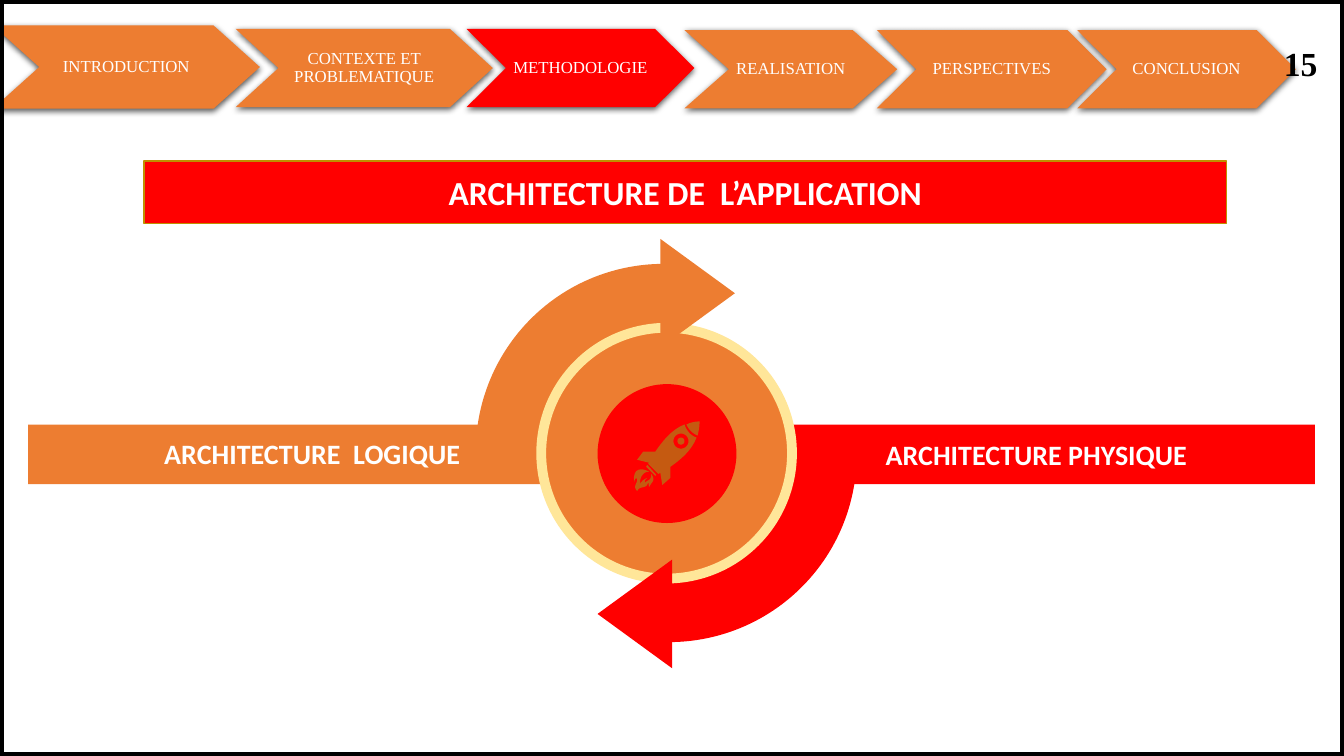
"""Build the application architecture slide with its chapter ribbon."""
import math

import lxml.etree
import pptx
import pptx.dml.color
import pptx.enum.shapes
import pptx.enum.text
import pptx.oxml.ns
import pptx.util

Cm = pptx.util.Cm
Pt = pptx.util.Pt
RGBColor = pptx.dml.color.RGBColor
SHAPE = pptx.enum.shapes.MSO_SHAPE
ALIGN = pptx.enum.text.PP_ALIGN
MIDDLE = pptx.enum.text.MSO_ANCHOR.MIDDLE
qn = pptx.oxml.ns.qn

ORANGE = RGBColor(0xED, 0x7D, 0x31)
RED = RGBColor(0xFF, 0x00, 0x00)
CREAM = RGBColor(0xFF, 0xE6, 0x99)
GOLD = RGBColor(0xBF, 0x90, 0x00)
BROWN = RGBColor(0xC5, 0x5A, 0x11)
WHITE = RGBColor(0xFF, 0xFF, 0xFF)
BLACK = RGBColor(0x00, 0x00, 0x00)

SLIDE_SIZE = Cm(33.87), Cm(19.05)
CHAPTERS = [
    ("INTRODUCTION", (-0.18, 0.64, 6.73, 2.1), 1.17, ORANGE),
    ("CONTEXTE ET PROBLEMATIQUE", (5.94, 0.73, 6.48, 1.97), 1.08, ORANGE),
    ("METHODOLOGIE", (11.76, 0.73, 5.74, 1.97), 0.99, RED),
    ("REALISATION", (17.25, 0.76, 5.36, 1.97), 1.12, ORANGE),
    ("PERSPECTIVES", (22.1, 0.76, 5.79, 1.97), 0.99, ORANGE),
    ("CONCLUSION", (27.15, 0.76, 5.51, 1.97), 0.99, ORANGE),
]

ROCKET_ORIGIN = Cm(15.93), Cm(10.62)
ROCKET_UNIT = Cm(2.54) / 100
ROCKET_FLAME = [
    (17, 50), (13, 49, 7, 54, 8, 62), (10, 58, 13, 57, 15, 56),
    (14, 57, 12, 58, 13, 61), (15, 57, 19, 60, 19, 52),
    (24, 59, 19, 60, 17, 65), (16, 64, 17, 60, 16, 61),
    (13, 68, 8, 63, 5, 69), (0, 64, 6, 61, 5, 57),
    (4, 56, 3, 56, 2, 60), (0, 45, 11, 46, 17, 50),
]
ROCKET_NOZZLE = [(15, 43), (24, 53), (23, 54), (14, 45)]
ROCKET_BODY = [
    (52, 3), (54, 9, 58, 14, 64, 16), (59, 29, 48, 38, 38, 45),
    (38, 56), (30, 63), (28, 51), (26, 52), (16, 42), (17, 41),
    (5, 38), (11, 30), (23, 30), (30, 20, 39, 8, 52, 3),
]
ROCKET_NOSE = [
    (67, 0), (67, 5, 66, 10, 65, 14), (60, 12, 56, 8, 54, 3),
    (58, 1, 62, 0, 67, 0),
]
WINDOW_CENTRE = 48.5, 19.5


def set_text(shape, text, size, font="Calibri", color=WHITE, bold=True,
             alignment=ALIGN.CENTER):
    """Write one formatted paragraph into a shape."""
    frame = shape.text_frame
    frame.text = text
    frame.word_wrap = True
    frame.vertical_anchor = MIDDLE
    paragraph = frame.paragraphs[0]
    paragraph.alignment = alignment
    run_font = paragraph.runs[0].font
    run_font.name = font
    run_font.size = Pt(size)
    run_font.bold = bold
    run_font.color.rgb = color
    return paragraph


def style(shape, fill=None, line=None, line_width=1):
    """Set the fill and outline of a shape and remove its shadow."""
    shape.shadow.inherit = False
    if fill is None:
        shape.fill.background()
    else:
        shape.fill.solid()
        shape.fill.fore_color.rgb = fill
    if line is None:
        shape.line.fill.background()
    else:
        shape.line.color.rgb = line
        shape.line.width = Pt(line_width)


def add_block(slide, kind, box, fill=None, rotation=0, **outline):
    """Add a preset shape at a box given in centimetres."""
    shape = slide.shapes.add_shape(kind, *map(Cm, box))
    shape.rotation = rotation
    style(shape, fill, **outline)
    return shape


def add_label(slide, box, text, size, **formatting):
    """Add a text box at a box given in centimetres."""
    set_text(slide.shapes.add_textbox(*map(Cm, box)), text, size, **formatting)


def add_soft_shadow(shape):
    """Give a shape a blurred shadow falling straight down."""
    effects = shape._element.spPr.find(qn("a:effectLst"))
    shadow = lxml.etree.SubElement(
        effects, qn("a:outerShdw"), blurRad=str(Pt(4.5)), dist=str(Pt(1.5)),
        dir="5400000", algn="ctr", rotWithShape="0")
    color = lxml.etree.SubElement(shadow, qn("a:srgbClr"), val="000000")
    lxml.etree.SubElement(color, qn("a:alpha"), val="63000")


def add_chapter(slide, title, box, point, fill):
    """Add one chevron of the chapter ribbon."""
    chevron = add_block(slide, SHAPE.CHEVRON, box, fill)
    chevron.adjustments[0] = point / box[3]
    add_soft_shadow(chevron)
    frame = chevron.text_frame
    frame.margin_left = frame.margin_right = Cm(0.04)
    frame.margin_top = frame.margin_bottom = Cm(0.04)
    paragraph = set_text(chevron, title, 12, "Times New Roman", bold=False)
    paragraph.line_spacing = 0.9


def add_quarter(slide, box, fill, rotation=0):
    """Add a quarter disc running from the left side to the top."""
    quarter = add_block(slide, SHAPE.PIE, box, fill, rotation)
    quarter.adjustments[0] = 180 * 0.6
    quarter.adjustments[1] = 270 * 0.6


def flatten(contour, steps=8):
    """Turn a contour of corners and cubic curves into points."""
    points = [contour[0]]
    for segment in contour[1:]:
        if len(segment) == 2:
            points.append(segment)
            continue
        controls = [points[-1], segment[:2], segment[2:4], segment[4:]]
        for step in range(1, steps + 1):
            t = step / steps
            weights = [math.comb(3, i) * t**i * (1 - t)**(3 - i) for i in range(4)]
            points.append(tuple(
                sum(w * control[axis] for w, control in zip(weights, controls))
                for axis in (0, 1)))
    return points


def circle_points(centre, radius, count=24):
    """Return evenly spaced points on a circle."""
    angles = [2 * math.pi * i / count for i in range(count)]
    return [(centre[0] + radius * math.cos(a), centre[1] + radius * math.sin(a))
            for a in angles]


def add_rocket(slide):
    """Draw the rocket icon as one outline with a round window."""
    contours = [flatten(c) for c in
                (ROCKET_BODY, ROCKET_FLAME, ROCKET_NOZZLE, ROCKET_NOSE)]
    contours += [circle_points(WINDOW_CENTRE, radius) for radius in (7.5, 3.5)]
    scaled = [[(x * ROCKET_UNIT, y * ROCKET_UNIT) for x, y in c] for c in contours]
    builder = slide.shapes.build_freeform(*scaled[0][0])
    for index, points in enumerate(scaled):
        if index:
            builder.move_to(*points[0])
        builder.add_line_segments(points[1:], close=True)
    style(builder.convert_to_shape(*ROCKET_ORIGIN), BROWN)


def main():
    """Create the presentation and save it."""
    presentation = pptx.Presentation()
    presentation.slide_width, presentation.slide_height = SLIDE_SIZE
    slide = presentation.slides.add_slide(presentation.slide_layouts[6])

    for chapter in CHAPTERS:
        add_chapter(slide, *chapter)
    add_block(slide, SHAPE.RECTANGLE, (0, 0, 33.87, 19.05), line=BLACK, line_width=6)

    add_block(slide, SHAPE.RECTANGLE, (0.71, 10.7, 12.93, 1.5), ORANGE)
    add_block(slide, SHAPE.RECTANGLE, (19.96, 10.7, 13.18, 1.5), RED)
    add_quarter(slide, (11.99, 6.65, 9.47, 9.47), ORANGE)
    add_quarter(slide, (12.12, 6.71, 9.47, 9.47), RED, 180)
    add_block(slide, SHAPE.OVAL, (13.64, 8.26, 6.32, 6.32), ORANGE,
              line=CREAM, line_width=7)
    add_block(slide, SHAPE.ISOSCELES_TRIANGLE, (16.21, 6.45, 2.74, 1.88), ORANGE, 90)
    add_block(slide, SHAPE.ISOSCELES_TRIANGLE, (14.63, 14.53, 2.74, 1.88), RED, 270)
    add_block(slide, SHAPE.OVAL, (15.06, 9.68, 3.5, 3.5), RED)
    add_label(slide, (22.07, 10.9, 9.47, 1.12), "ARCHITECTURE PHYSIQUE", 20,
              alignment=ALIGN.LEFT)
    add_label(slide, (1.47, 10.87, 10.38, 1.12), "ARCHITECTURE  LOGIQUE", 20,
              alignment=ALIGN.RIGHT)
    add_rocket(slide)

    banner = add_block(slide, SHAPE.RECTANGLE, (3.63, 4.06, 27.28, 1.57), RED, line=GOLD)
    set_text(banner, "ARCHITECTURE DE  L’APPLICATION", 24)
    add_label(slide, (32.08, 1.07, 1.37, 1.02), "15", 24, font="Times New Roman",
              color=BLACK, alignment=ALIGN.RIGHT)
    presentation.save("out.pptx")


if __name__ == "__main__":
    main()
